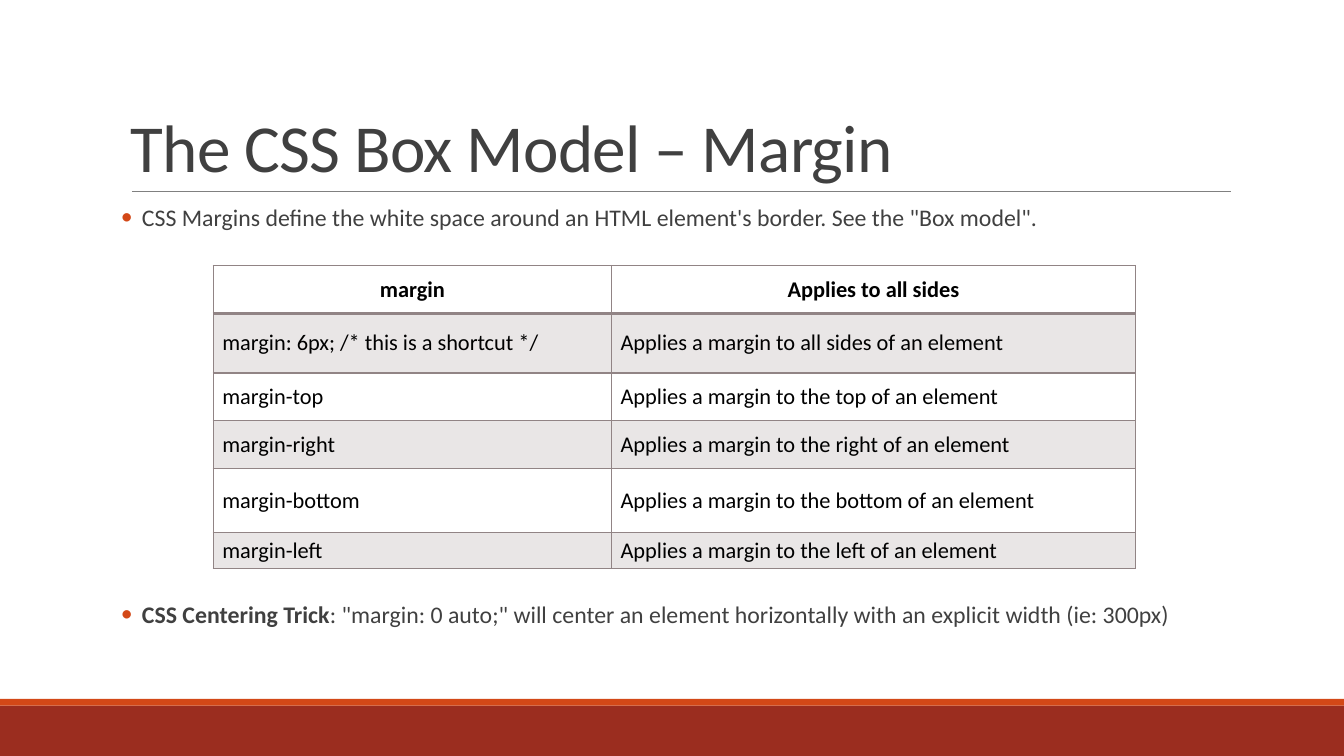
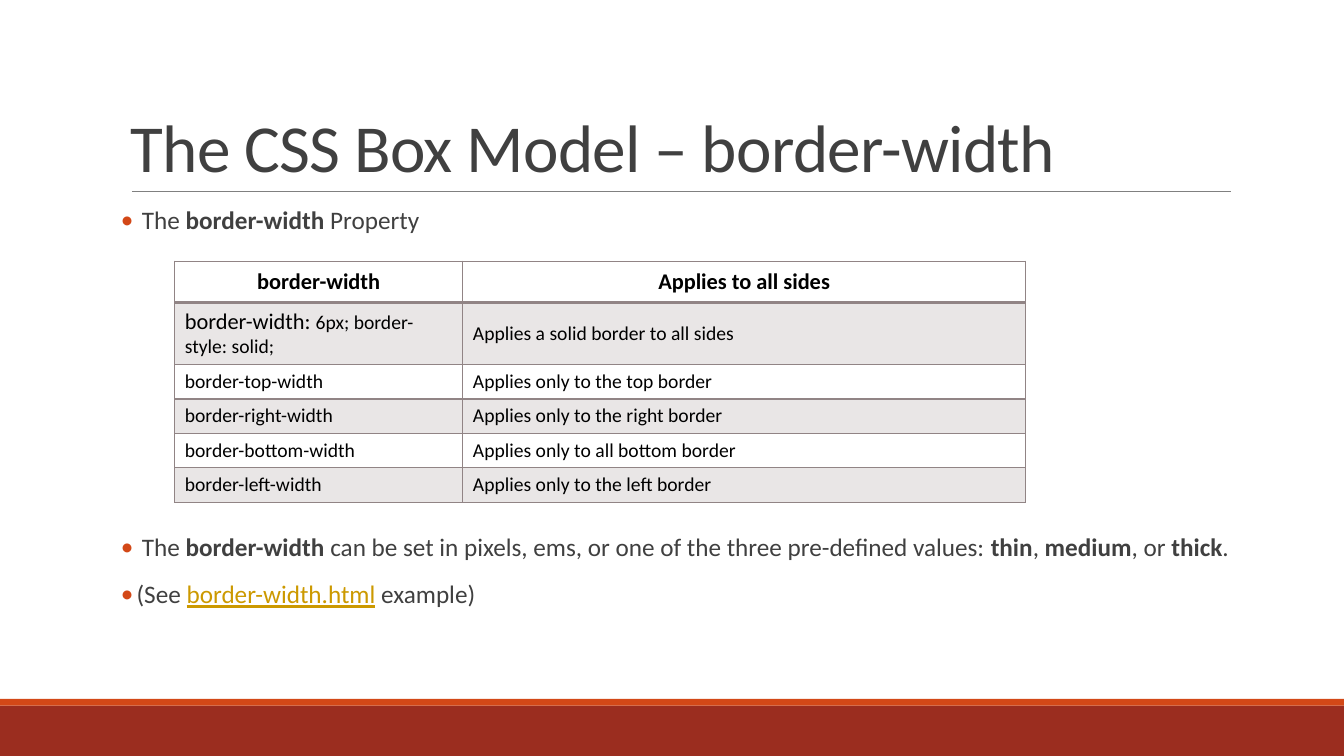
"""Builds two slides on the CSS box model: margin and border-width."""
import dataclasses

import lxml.etree
import pptx
import pptx.dml.color
import pptx.enum.shapes
import pptx.enum.text
import pptx.oxml.ns
import pptx.util

Pt = pptx.util.Pt
Align = pptx.enum.text.PP_ALIGN
Anchor = pptx.enum.text.MSO_ANCHOR
CELL = pptx.util.Inches(7.5) / 9


@dataclasses.dataclass(frozen=True)
class Theme:
    """Colours, type sizes and line widths shared by the slides."""
    font: str = "Calibri"
    ink: str = "404040"
    table_ink: str = "000000"
    band: str = "9B2D1F"
    accent: str = "D34817"
    rule: str = "808080"
    grid: str = "918485"
    link: str = "CC9900"
    title_size: int = 48
    head_size: int = 16
    rule_width: float = 0.5
    grid_width: int = 1
    head_width: int = 2
    stripe_alpha: int = 20


@dataclasses.dataclass(frozen=True)
class Box:
    """An area in columns and rows of the 16 by 9 slide grid."""
    left: float
    top: float
    width: float
    height: float

    def emu(self):
        """Return left, top, width and height in EMU."""
        return [round(value * CELL) for value in dataclasses.astuple(self)]


THEME = Theme()
BAND = Box(0, 8.4, 16, 0.6)
STRIP = Box(0, 8.32, 16, 0.08)
RULE = Box(1.57, 2.28, 13.08, 0)
TITLE = Box(1.44, 0.37, 13.2, 1.91)
BODY = Box(1.44, 2.42, 13.2, 5.28)
BOLD = {"bold": True}
LINK = {"underline": True, "color": THEME.link}


def assign(target, values):
    """Set attributes of the target from a dict."""
    for name, value in values.items():
        setattr(target, name, value)


def rgb(code):
    """Turn a hex code into a colour."""
    return pptx.dml.color.RGBColor.from_string(code)


def add_xml(parent, tag, **attributes):
    """Append one DrawingML element."""
    return lxml.etree.SubElement(parent, pptx.oxml.ns.qn(tag), attributes)


def add_run(paragraph, words, size, color, **values):
    """Append a run in the theme font."""
    run = paragraph.add_run()
    run.text = words
    assign(run.font, {"name": THEME.font, "size": Pt(size), **values})
    run.font.color.rgb = rgb(color)
    return run


def add_runs(paragraph, content, size, color):
    """Append plain words, or (words, format) pairs."""
    pairs = [(content, {})] if isinstance(content, str) else content
    for words, style in pairs:
        add_run(paragraph, words, **{"size": size, "color": color, **style})


def add_frame(slide, box, **values):
    """Add a wrapping text frame in the box."""
    frame = slide.shapes.add_textbox(*box.emu()).text_frame
    assign(frame, {"word_wrap": True, **values})
    return frame


def add_bands(slide):
    """Draw the footer bands and the title rule."""
    for box, color in ((BAND, THEME.band), (STRIP, THEME.accent)):
        band = slide.shapes.add_shape(pptx.enum.shapes.MSO_SHAPE.RECTANGLE, *box.emu())
        band.shadow.inherit = False
        band.fill.solid()
        band.fill.fore_color.rgb = rgb(color)
        band.line.fill.background()
    left, top, width, _ = RULE.emu()
    rule = slide.shapes.add_connector(
        pptx.enum.shapes.MSO_CONNECTOR.STRAIGHT, left, top, left + width, top)
    rule.line.width = Pt(THEME.rule_width)
    rule.line.color.rgb = rgb(THEME.rule)
    add_xml(rule._element.spPr, "a:effectLst")


def add_title(slide, box, words):
    """Set the slide title at the foot of its box."""
    paragraph = add_frame(slide, box, vertical_anchor=Anchor.BOTTOM).paragraphs[0]
    paragraph.line_spacing = 0.85
    run = add_run(paragraph, words, THEME.title_size, THEME.ink)
    run._r.get_or_add_rPr().set("spc", "-50")


def add_bullets(slide, box, bullets, size, spacing):
    """Set bullets given as (runs, indent, extra spacing)."""
    frame = add_frame(slide, box, margin_left=0, margin_right=0)
    for index, (content, indent, extra) in enumerate(bullets):
        paragraph = frame.add_paragraph() if index else frame.paragraphs[0]
        assign(paragraph, {**spacing, **extra})
        add_runs(paragraph, content, size, THEME.ink)
        properties = paragraph._p.get_or_add_pPr()
        properties.set("marL", str(Pt(indent)))
        properties.set("indent", str(-Pt(indent)))
        add_xml(add_xml(properties, "a:buClr"), "a:srgbClr", val=THEME.accent)
        add_xml(properties, "a:buFont", typeface=THEME.font)
        add_xml(properties, "a:buChar", char="•")


def style_cell(cell, row, margins):
    """Draw cell borders and the fill of striped rows."""
    assign(cell, {"vertical_anchor": Anchor.MIDDLE, **margins})
    properties = cell._tc.get_or_add_tcPr()
    for side in "LRTB":
        under_head = (row, side) in ((0, "B"), (1, "T"))
        width = THEME.head_width if under_head else THEME.grid_width
        border = add_xml(properties, f"a:ln{side}", w=str(Pt(width)))
        add_xml(add_xml(border, "a:solidFill"), "a:srgbClr", val=THEME.grid)
    if row % 2:
        cell.fill.solid()
        cell.fill.fore_color.rgb = rgb(THEME.grid)
        color = properties.find(pptx.oxml.ns.qn("a:solidFill"))[0]
        add_xml(color, "a:alpha", val=str(THEME.stripe_alpha * 1000))
    else:
        cell.fill.background()


def add_properties_table(slide, corner, columns, heights, rows, size, margins):
    """Build the table of properties with a centred bold header."""
    box = Box(*corner, sum(columns), sum(heights))
    table = slide.shapes.add_table(len(rows), len(columns), *box.emu()).table
    assign(table, {"first_row": False, "horz_banding": False})
    for column, width in zip(table.columns, columns):
        column.width = round(width * CELL)
    for row, (line, height, entries) in enumerate(zip(table.rows, heights, rows)):
        line.height = round(height * CELL)
        for cell, content in zip(line.cells, entries):
            style_cell(cell, row, margins)
            paragraph = cell.text_frame.paragraphs[0]
            if row:
                add_runs(paragraph, content, size, THEME.table_ink)
            else:
                paragraph.alignment = Align.CENTER
                add_runs(paragraph, [(content, BOLD)], THEME.head_size, THEME.table_ink)


def add_insets(across, down):
    """Return equal left and right, and top and bottom cell margins."""
    return {"margin_left": Pt(across), "margin_right": Pt(across),
            "margin_top": Pt(down), "margin_bottom": Pt(down)}


def add_property_slide(deck, title, bullets, table):
    """Add a slide with a title, bullets and a table between them."""
    slide = deck.slides.add_slide(deck.slide_layouts[6])
    add_bands(slide)
    add_title(slide, TITLE, title)
    add_bullets(slide, BODY, **bullets)
    add_properties_table(slide, **table)


MARGIN_BULLETS = {
    "size": 17,
    "spacing": {"line_spacing": 0.8, "space_before": Pt(4), "space_after": Pt(8)},
    "bullets": [
        ("CSS Margins define the white space around an HTML element's border. "
         'See the "Box model".', 15, {}),
        ([("CSS Centering Trick", BOLD),
          (': "margin: 0 auto;" will center an element horizontally '
           "with an explicit width (ie: 300px)", {})], 15, {"space_before": Pt(259)}),
    ],
}
MARGIN_TABLE = {
    "corner": (2.54, 3.16),
    "columns": (4.74, 6.24),
    "heights": (0.57, 0.71, 0.57, 0.57, 0.76, 0.43),
    "size": 16,
    "margins": add_insets(6.5, 3),
    "rows": [
        ("margin", "Applies to all sides"),
        ("margin: 6px; /* this is a shortcut */", "Applies a margin to all sides of an element"),
        *((f"margin-{side}", f"Applies a margin to the {side} of an element")
          for side in ("top", "right", "bottom", "left")),
    ],
}
BORDER_BULLETS = {
    "size": 18,
    "spacing": {"line_spacing": 0.9, "space_before": Pt(12), "space_after": Pt(2)},
    "bullets": [
        ([("The ", {}), ("border-width", BOLD), (" Property", {})], 15, {}),
        ([("The ", {}), ("border-width ", BOLD),
          ("can be set in pixels, ems, or one of the three pre-defined values: ", {}),
          ("thin", BOLD), (", ", {}), ("medium", BOLD), (", or ", {}),
          ("thick", BOLD), (".", {})], 15, {"space_before": Pt(212)}),
        ([("(See ", {}), ("border-width.html", LINK), (" example)", {})], 11.2, {}),
    ],
}
BORDER_TABLE = {
    "corner": (2.08, 3.11),
    "columns": (3.43, 6.7),
    "heights": (0.49, 0.74) + (0.41,) * 4,
    "size": 14,
    "margins": add_insets(7.2, 3.6),
    "rows": [
        ("border-width", "Applies to all sides"),
        ([("border-width: ", {"size": THEME.head_size}), ("6px; border-style: solid;", {})],
         "Applies a solid border to all sides"),
        *((f"border-{side}-width", f"Applies only to {article} {side} border")
          for side, article in (("top", "the"), ("right", "the"),
                                ("bottom", "all"), ("left", "the"))),
    ],
}


def main():
    """Build and save the deck."""
    deck = pptx.Presentation()
    assign(deck, {"slide_width": round(16 * CELL), "slide_height": round(9 * CELL)})
    add_property_slide(deck, "The CSS Box Model – Margin", MARGIN_BULLETS, MARGIN_TABLE)
    add_property_slide(deck, "The CSS Box Model – border-width", BORDER_BULLETS, BORDER_TABLE)
    deck.save("out.pptx")


main()
